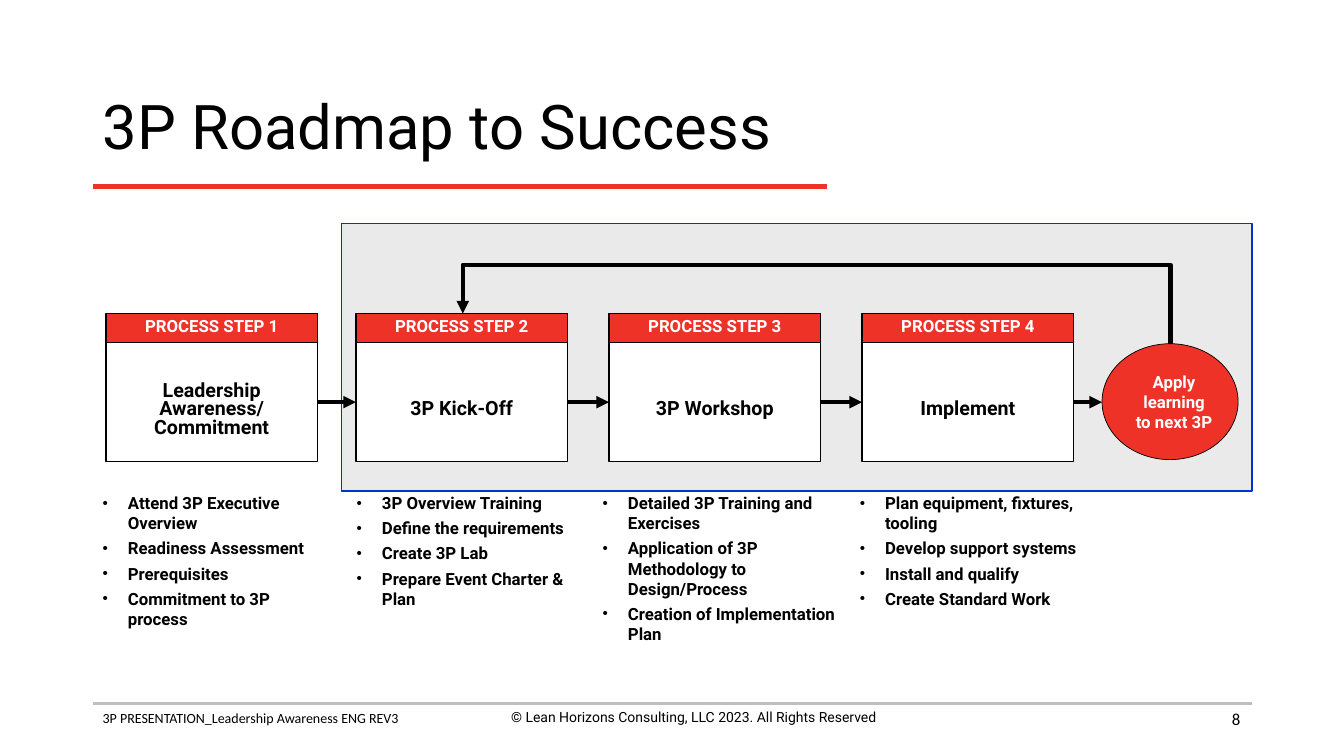
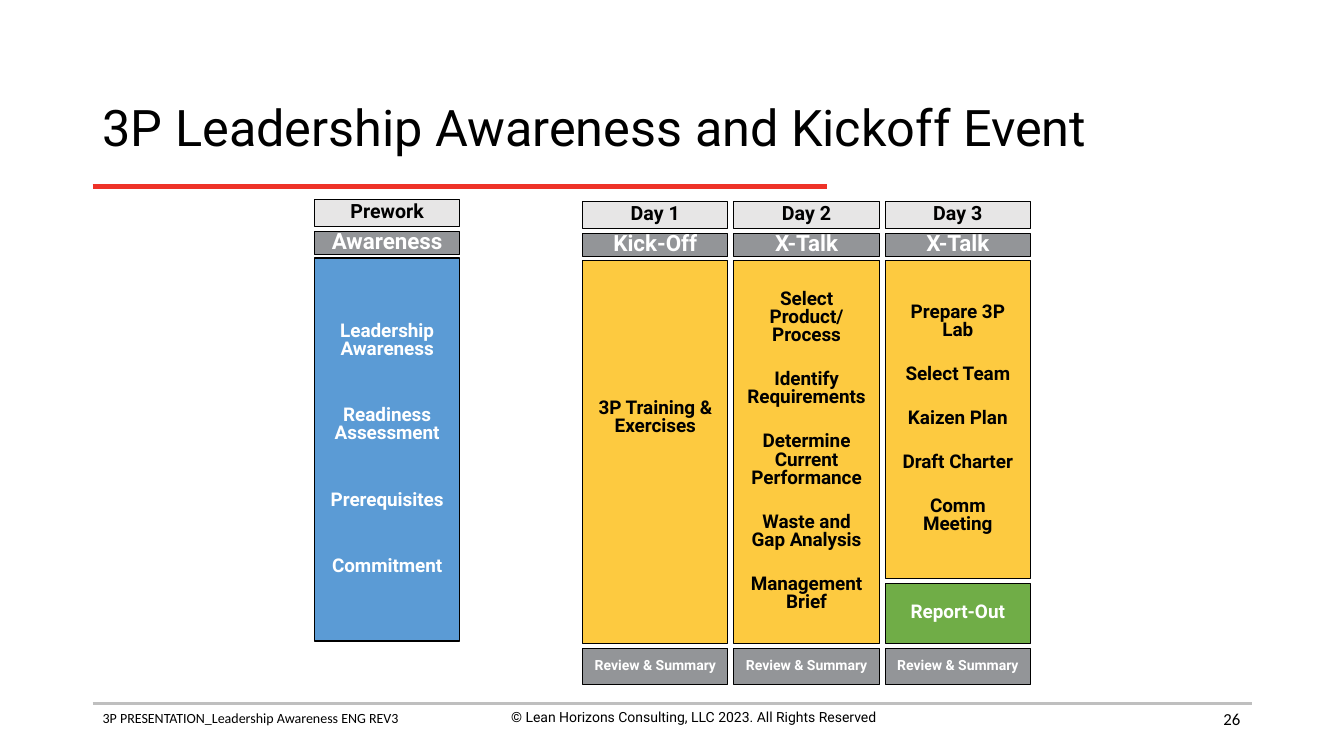
from lxml.etree import SubElement
from pptx import Presentation
from pptx.dml.color import RGBColor
from pptx.enum.shapes import MSO_CONNECTOR as LINK, MSO_SHAPE as SHAPE
from pptx.enum.text import MSO_ANCHOR as ANCHOR, PP_ALIGN as ALIGN
from pptx.oxml.ns import qn
from pptx.util import Inches, Pt

rgb = RGBColor.from_string

# Shared look
BLACK, WHITE, RED = "000000", "FFFFFF", "EE3228"
RULE_GREY, PANEL_GREY, HEAD_GREY, BAND_GREY = "BFBFBF", "EAEAEA", "E7E6E6", "939598"
PANEL_EDGE, BLUE, YELLOW, GREEN = "0033CC", "5B9BD5", "FDCA40", "70AD47"
LEFT, RIGHT = 0.92, 12.42


def put(slide, text, left, top, width, height, *, kind=SHAPE.RECTANGLE, fill=None,
        edge=BLACK, edge_width=0.75, size=12, font="Roboto", color=BLACK, bold=False,
        align=ALIGN.LEFT, anchor=ANCHOR.TOP, spacing=1, gap=0,
        inset=(0.1, 0.05, 0.1, 0.05), bullet=None):
    """Place text, one paragraph a line; a fill makes it an outlined shape."""
    place = [Inches(n) for n in (left, top, width, height)]
    if fill:
        item = slide.shapes.add_shape(kind, *place)
        item.shadow.inherit = False
        item.fill.solid()
        item.fill.fore_color.rgb = rgb(fill)
        item.line.color.rgb = rgb(edge)
        item.line.width = Pt(edge_width)
    else:
        item = slide.shapes.add_textbox(*place)
    frame = item.text_frame
    frame.word_wrap = True
    frame.vertical_anchor = anchor
    (frame.margin_left, frame.margin_top,
     frame.margin_right, frame.margin_bottom) = map(Inches, inset)
    for i, line in enumerate(text.splitlines()):
        para = frame.add_paragraph() if i else frame.paragraphs[0]
        if bullet:
            props = para._p.get_or_add_pPr()
            props.set("marL", str(Inches(0.25)))
            props.set("indent", str(-Inches(0.25)))
            SubElement(SubElement(props, qn("a:buClr")), qn("a:srgbClr"), val=color)
            SubElement(props, qn("a:buSzPct"), val="90000")
            SubElement(props, qn("a:buFont"), typeface="Arial")
            SubElement(props, qn("a:buChar"), char=bullet)
        para.alignment = align
        para.line_spacing = spacing
        if i:
            para.space_before = Pt(gap)
        run = para.add_run()
        run.text = line
        run.font.size = Pt(size)
        run.font.name = font
        run.font.bold = bold
        run.font.color.rgb = rgb(color)
    return item


def connect(slide, x1, y1, x2, y2, *, color=BLACK, width=3, arrow=False, kind=LINK.STRAIGHT):
    link = slide.shapes.add_connector(kind, *[Inches(n) for n in (x1, y1, x2, y2)])
    link.line.color.rgb = rgb(color)
    link.line.width = Pt(width)
    if arrow:
        SubElement(link.line._get_or_add_ln(), qn("a:tailEnd"), type="triangle")
    SubElement(link._element.spPr, qn("a:effectLst"))
    return link


prs = Presentation()
prs.slide_width, prs.slide_height = Inches(13.33), Inches(7.5)

# Title, rules and footer of every slide
pages = []
for title, title_size, number in [
    ("3P Roadmap to Success", 44, "8"),
    ("3P Leadership Awareness and Kickoff Event", 36, "26"),
]:
    page = prs.slides.add_slide(prs.slide_layouts[6])
    connect(page, LEFT, 6.98, RIGHT, 6.98, color=RULE_GREY, width=2)
    put(page, "3P PRESENTATION_Leadership Awareness ENG REV3", LEFT, 6.99, 4.56, 0.44,
        size=10, font="Calibri")
    put(page, "© Lean Horizons Consulting, LLC 2023. All Rights Reserved", 4.6, 6.98, 4.56, 0.44,
        size=10, align=ALIGN.CENTER)
    connect(page, LEFT, 1.85, 8.2, 1.85, color=RED)
    put(page, title, LEFT, 0.74, 11.5, 1.1, size=title_size, anchor=ANCHOR.MIDDLE, spacing=0.9)
    put(page, number, 9.4, 6.93, 3, 0.4, font="Calibri", align=ALIGN.RIGHT, anchor=ANCHOR.MIDDLE)
    pages.append(page)
roadmap, schedule = pages

centred = dict(bold=True, align=ALIGN.CENTER, anchor=ANCHOR.MIDDLE)
tight = dict(centred, spacing=0.8)

# Roadmap: panel and closing circle
put(roadmap, "", 3.39, 2.22, 9.03, 2.65, fill=PANEL_GREY, edge=PANEL_EDGE, edge_width=1)
put(roadmap, "Apply\nlearning\nto next 3P", 10.93, 3.41, 1.35, 1.15, kind=SHAPE.OVAL, fill=RED,
    edge_width=0.5, color=WHITE, inset=(0.11, 0.05, 0.03, 0.05), **centred)

# Roadmap: process steps with their tasks
STEP_WIDTH, STEP_TOP, STEP_HEIGHT = 2.1, 3.4, 1.18
STEP_MIDDLE = STEP_TOP + STEP_HEIGHT / 2
steps = [
    (1.05, "Leadership Awareness/ Commitment", 0.92, 2.31,
     "Attend 3P Executive Overview\nReadiness Assessment\nPrerequisites\n"
     "Commitment to 3P process"),
    (3.53, "3P Kick-Off", 3.44, 2.54,
     "3P Overview Training\nDefine the requirements\nCreate 3P Lab\n"
     "Prepare Event Charter & Plan"),
    (6.04, "3P Workshop", 5.88, 2.54,
     "Detailed 3P Training and Exercises\n"
     "Application of 3P Methodology to Design/Process\n"
     "Creation of Implementation Plan"),
    (8.55, "Implement", 8.43, 2.52,
     "Plan equipment, fixtures, tooling\nDevelop support systems\n"
     "Install and qualify\nCreate Standard Work"),
]
step_boxes = []
for number, (left, name, tasks_left, tasks_width, tasks) in enumerate(steps, 1):
    step_boxes.append(put(roadmap, name, left, STEP_TOP, STEP_WIDTH, STEP_HEIGHT, fill=WHITE,
                          edge_width=1, size=14, inset=(0.1, 0.21, 0.1, 0.05), **tight))
    put(roadmap, f"PROCESS STEP {number}", left, 3.11, STEP_WIDTH, 0.29, fill=RED,
        edge_width=1, color=WHITE, **tight)
    put(roadmap, tasks, tasks_left, 4.84, tasks_width, 1.9, bold=True, gap=3.6, bullet="•")

# Roadmap: arrows onward, and the loop back to step 2
arrow_ends = [step[0] for step in steps[1:]] + [10.93]
for i, end in enumerate(arrow_ends):
    arrow = connect(roadmap, steps[i][0] + STEP_WIDTH, STEP_MIDDLE, end, STEP_MIDDLE, arrow=True)
    arrow.begin_connect(step_boxes[i], 3)
    if i + 1 < len(step_boxes):
        arrow.end_connect(step_boxes[i + 1], 1)

loop_back = connect(roadmap, 8.25, -0.25, 7.95, 6.77, arrow=True, kind=LINK.ELBOW)
loop_shape = loop_back._element.spPr
loop_shape.find(qn("a:xfrm")).set("rot", "5400000")
bends = loop_shape.find(qn("a:prstGeom")).find(qn("a:avLst"))
SubElement(bends, qn("a:gd"), name="adj1", fmla="val 261300")

# Schedule: one column for the prework and one for each day
COLUMN_WIDTH = 1.44
REVIEW = "Review & Summary"
columns = [
    (3.12, 1.98, "Prework", "Awareness", None),
    (5.78, 2, "Day 1", "Kick-Off", REVIEW),
    (7.28, 2, "Day 2", "X-Talk", REVIEW),
    (8.78, 2, "Day 3", "X-Talk", REVIEW),
]
activities = [
    ("Leadership Awareness\nReadiness Assessment\nPrerequisites\nCommitment",
     3.8, dict(fill=BLUE, color=WHITE, gap=34.5)),
    ("3P Training & Exercises", 3.8, dict(fill=YELLOW, inset=(0.1, 0.05, 0.1, 0.71))),
    ("Select Product/ Process\nIdentify Requirements\nDetermine Current Performance\n"
     "Waste and Gap Analysis\nManagement Brief", 3.8, dict(fill=YELLOW, gap=18.5)),
    ("Prepare 3P Lab\nSelect Team\nKaizen Plan\nDraft Charter\nComm Meeting",
     3.16, dict(fill=YELLOW, gap=18.5)),
]
for (left, top, day, theme, review), (work, height, look) in zip(columns, activities):
    put(schedule, day, left, top, COLUMN_WIDTH, 0.27, fill=HEAD_GREY, size=14, **tight)
    put(schedule, theme, left, top + 0.32, COLUMN_WIDTH, 0.23, fill=BAND_GREY, size=16,
        color=WHITE, **tight)
    put(schedule, work, left, top + 0.58, COLUMN_WIDTH, height, size=13.5, **look, **tight)
    if review:
        put(schedule, review, left, 6.43, COLUMN_WIDTH, 0.36, fill=BAND_GREY, size=10,
            color=WHITE, **tight)
put(schedule, "Report-Out", 8.78, 5.79, COLUMN_WIDTH, 0.59, fill=GREEN, size=13.5,
    color=WHITE, **tight)

prs.save("out.pptx")
